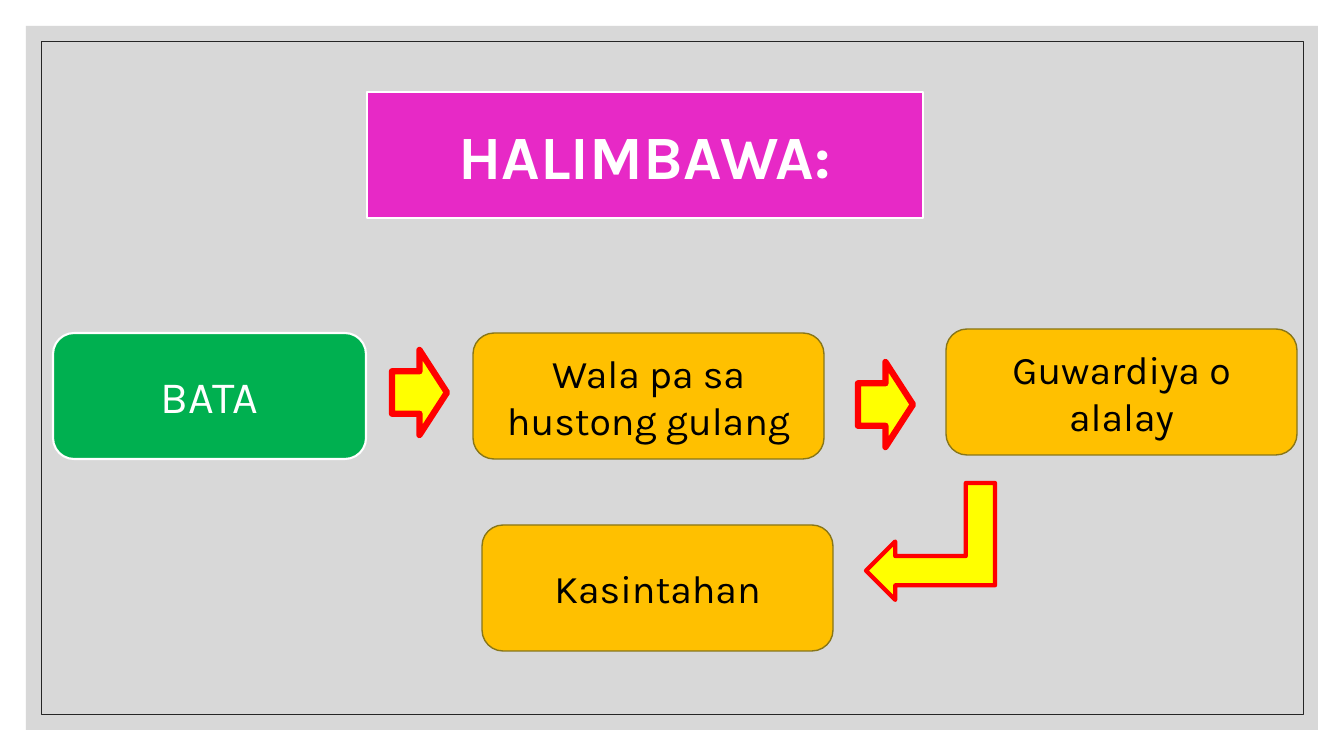
from lxml import etree
from pptx import Presentation
from pptx.dml.color import RGBColor
from pptx.enum.shapes import MSO_SHAPE
from pptx.enum.text import MSO_ANCHOR, MSO_AUTO_SIZE, PP_ALIGN
from pptx.oxml.ns import qn
from pptx.util import Emu, Pt

PX = 914400 / 100.8
WHITE = RGBColor(0xFF, 0xFF, 0xFF)
BLACK = RGBColor(0x00, 0x00, 0x00)
GRAY = RGBColor(0xBF, 0xBF, 0xBF)
CHARCOAL = RGBColor(0x26, 0x26, 0x26)
MAGENTA = RGBColor(0xE7, 0x29, 0xC6)
GREEN = RGBColor(0x00, 0xB0, 0x50)
GOLD = RGBColor(0xFF, 0xC0, 0x00)
OLIVE = RGBColor(0x88, 0x76, 0x18)
YELLOW = RGBColor(0xFF, 0xFF, 0x00)
RED = RGBColor(0xFF, 0x00, 0x00)


def add_box(kind, left, top, width, height, fill, line, points):
    box = page.shapes.add_shape(kind, *[Emu(round(n * PX)) for n in (left, top, width, height)])
    box.shadow.inherit = False
    if fill is None:
        box.fill.background()
    else:
        box.fill.solid()
        box.fill.fore_color.rgb = fill
    if line is None:
        box.line.fill.background()
    else:
        box.line.color.rgb = line
        box.line.width = Pt(points)
    return box


def write_text(box, text, size, color, bold=False):
    frame = box.text_frame
    frame.word_wrap = True
    frame.auto_size = MSO_AUTO_SIZE.NONE
    frame.vertical_anchor = MSO_ANCHOR.MIDDLE
    para = frame.paragraphs[0]
    para.text = text
    para.alignment = PP_ALIGN.CENTER
    para.font.name = "Karla"
    para.font.size = Pt(size)
    para.font.bold = bold
    para.font.color.rgb = color


deck = Presentation()
deck.slide_width = Emu(round(1344 * PX))
deck.slide_height = Emu(round(756 * PX))
page = deck.slides.add_slide(deck.slide_layouts[5])

panel = add_box(MSO_SHAPE.RECTANGLE, 26, 26, 1292, 704, GRAY, None, 0)
panel_color = panel.fill._xPr.find(qn("a:solidFill"))[0]
etree.SubElement(panel_color, qn("a:alpha"), val="60000")
add_box(MSO_SHAPE.RECTANGLE, 41, 41, 1262, 673, None, CHARCOAL, 0.5)

title = page.shapes.title
title.left, title.top, title.width, title.height = [Emu(round(n * PX)) for n in (367, 92, 556, 126)]
outline = etree.SubElement(title.element.spPr, qn("a:prstGeom"), prst="roundRect")
etree.SubElement(outline, qn("a:avLst"))
title.fill.solid()
title.fill.fore_color.rgb = MAGENTA
title.line.color.rgb = WHITE
title.line.width = Pt(1.5)
write_text(title, "HALIMBAWA:", 44, WHITE, True)
page.shapes._spTree.append(title.element)

start = add_box(MSO_SHAPE.ROUNDED_RECTANGLE, 53, 333, 313, 126, GREEN, WHITE, 1.5)
write_text(start, "BATA", 32, WHITE)

for text, left, top in [
    ("Wala pa sa hustong gulang", 473, 333),
    ("Guwardiya o alalay", 946, 329),
    ("Kasintahan", 482, 525),
]:
    meaning = add_box(MSO_SHAPE.ROUNDED_RECTANGLE, left, top, 351, 126, GOLD, OLIVE, 1)
    write_text(meaning, text, 28, BLACK)

for left, top in [(377, 365), (843, 377)]:
    arrow = add_box(MSO_SHAPE.DOWN_ARROW, left, top, 85, 55, YELLOW, RED, 4.5)
    arrow.rotation = 270

bent_arrow = add_box(MSO_SHAPE.BENT_UP_ARROW, 872, 477, 117, 129, YELLOW, RED, 3)
bent_arrow.rotation = 90
bent_arrow.element.spPr.find(qn("a:xfrm")).set("flipV", "1")

deck.save("out.pptx")
